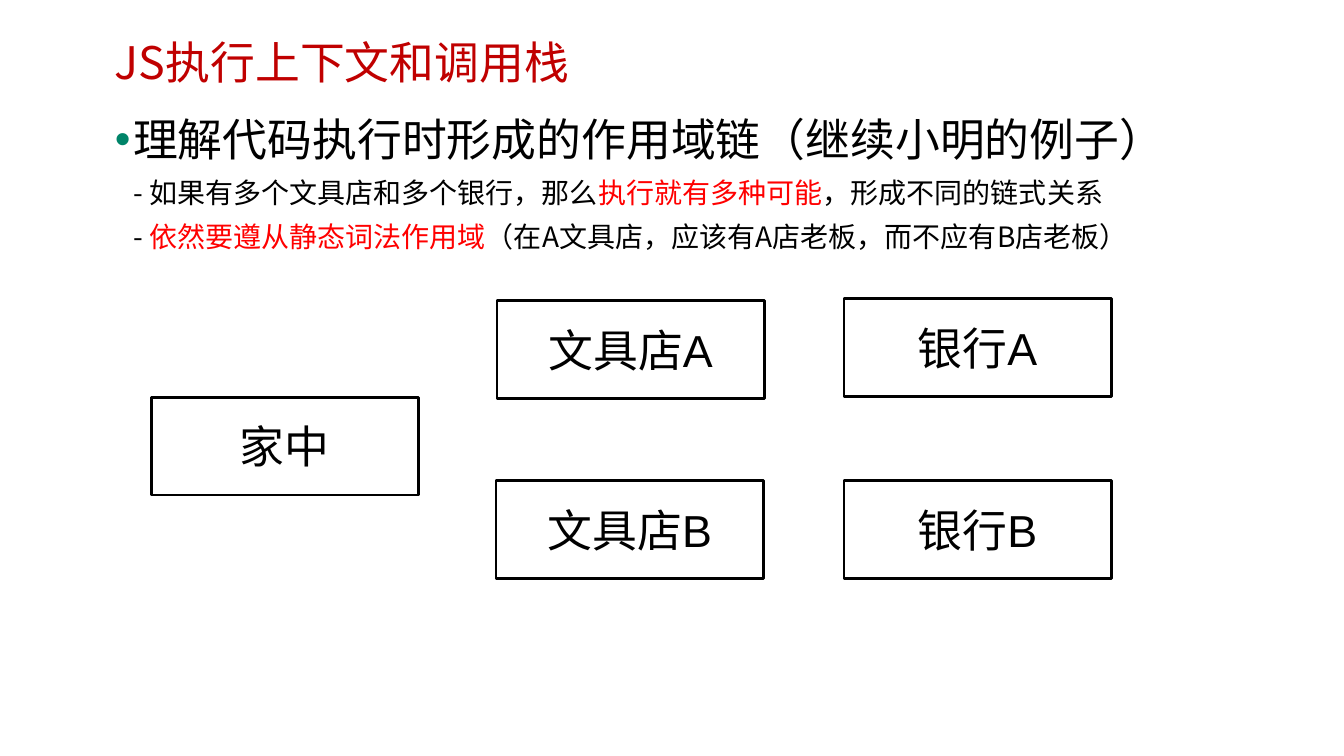
import pptx
import pptx.util
import pptx.dml.color
import pptx.enum.shapes
import pptx.enum.text
import pptx.oxml
import pptx.oxml.ns

Inches, Pt = pptx.util.Inches, pptx.util.Pt
Align, Anchor = pptx.enum.text.PP_ALIGN, pptx.enum.text.MSO_ANCHOR
COLORS = {"ink": "000000", "paper": "FFFFFF", "title": "C00000",
          "accent": "FF0000", "bullet": "008469"}
CJK = "Noto Sans CJK SC"


class Deck:
    def __init__(self):
        self.prs = pptx.Presentation()
        self.prs.slide_width, self.prs.slide_height = Inches(13.33), Inches(7.5)
        self.s = self.prs.slides.add_slide(self.prs.slide_layouts[1])

    def color(self, name):
        return pptx.dml.color.RGBColor.from_string(COLORS[name])

    def apply(self, target, values):
        for name, value in values.items():
            setattr(target, name, value)

    def run(self, p, text, size, color="ink", font=CJK):
        r = p.add_run()
        r.text = text
        self.apply(r.font, {"size": Pt(size), "name": font, "bold": False})
        r.font.color.rgb = self.color(color)
        ea = pptx.oxml.parse_xml(
            f'<a:ea {pptx.oxml.ns.nsdecls("a")} typeface="{CJK}"/>')
        r.font._element.append(ea)

    def place(self, sp, left, top, width, height):
        self.apply(sp, {"left": Inches(left), "top": Inches(top),
                        "width": Inches(width), "height": Inches(height)})
        tf = sp.text_frame
        self.apply(tf, {"margin_top": 0, "margin_bottom": 0, "word_wrap": True,
                        "vertical_anchor": Anchor.TOP,
                        "auto_size": pptx.enum.text.MSO_AUTO_SIZE.NONE})
        p = tf.paragraphs[0]
        self.apply(p, {"alignment": Align.LEFT, "space_before": Pt(0)})
        return p

    def title(self, text, *box):
        p = self.place(self.s.shapes.title, *box)
        self.run(p, text, 32, "title")

    def body(self, lines, *box):
        p = self.place(self.s.placeholders[1], *box)
        p.line_spacing = 1.3
        pPr = p._p.get_or_add_pPr()
        pPr.set("marL", str(Inches(0.18)))
        pPr.set("indent", str(Inches(-0.18)))
        ns = pptx.oxml.ns.nsdecls("a")
        for xml in (f'<a:buClr {ns}><a:srgbClr val="{COLORS["bullet"]}"/></a:buClr>',
                    f'<a:buChar {ns} char="•"/>'):
            pPr.append(pptx.oxml.parse_xml(xml))
        for i, (size, parts) in enumerate(lines):
            if i:
                p.add_line_break()
            for text, color in parts:
                self.run(p, text, size, color)

    def box(self, text, left, top):
        sp = self.s.shapes.add_shape(
            pptx.enum.shapes.MSO_SHAPE.FLOWCHART_PROCESS,
            Inches(left), Inches(top), Inches(2.65), Inches(0.97))
        sp.shadow.inherit = False
        sp.fill.solid()
        sp.fill.fore_color.rgb = self.color("paper")
        sp.line.color.rgb = self.color("ink")
        sp.line.width = Pt(2)
        sp.text_frame.vertical_anchor = Anchor.MIDDLE
        p = sp.text_frame.paragraphs[0]
        p.alignment = Align.CENTER
        self.run(p, text, 32, font="Arial")


def main():
    deck = Deck()
    deck.title("JS执行上下文和调用栈", 1.04, 0.34, 8.96, 0.54)
    deck.body([
        (32, [("理解代码执行时形成的作用域链（继续小明的例子）", "ink")]),
        (20, [("- 如果有多个文具店和多个银行，那么", "ink"),
              ("执行就有多种可能", "accent"),
              ("，形成不同的链式关系", "ink")]),
        (20, [("- ", "ink"),
              ("依然要遵从静态词法作用域", "accent"),
              ("（在A文具店，应该有A店老板，而不应有B店老板）", "ink")]),
    ], 1.04, 0.95, 10.82, 5.69)
    for text, left, top in [("家中", 1.5, 3.94),
                            ("文具店A", 4.93, 2.98), ("文具店B", 4.92, 4.77),
                            ("银行A", 8.37, 2.96), ("银行B", 8.37, 4.77)]:
        deck.box(text, left, top)
    deck.prs.save("out.pptx")


if __name__ == "__main__":
    main()
